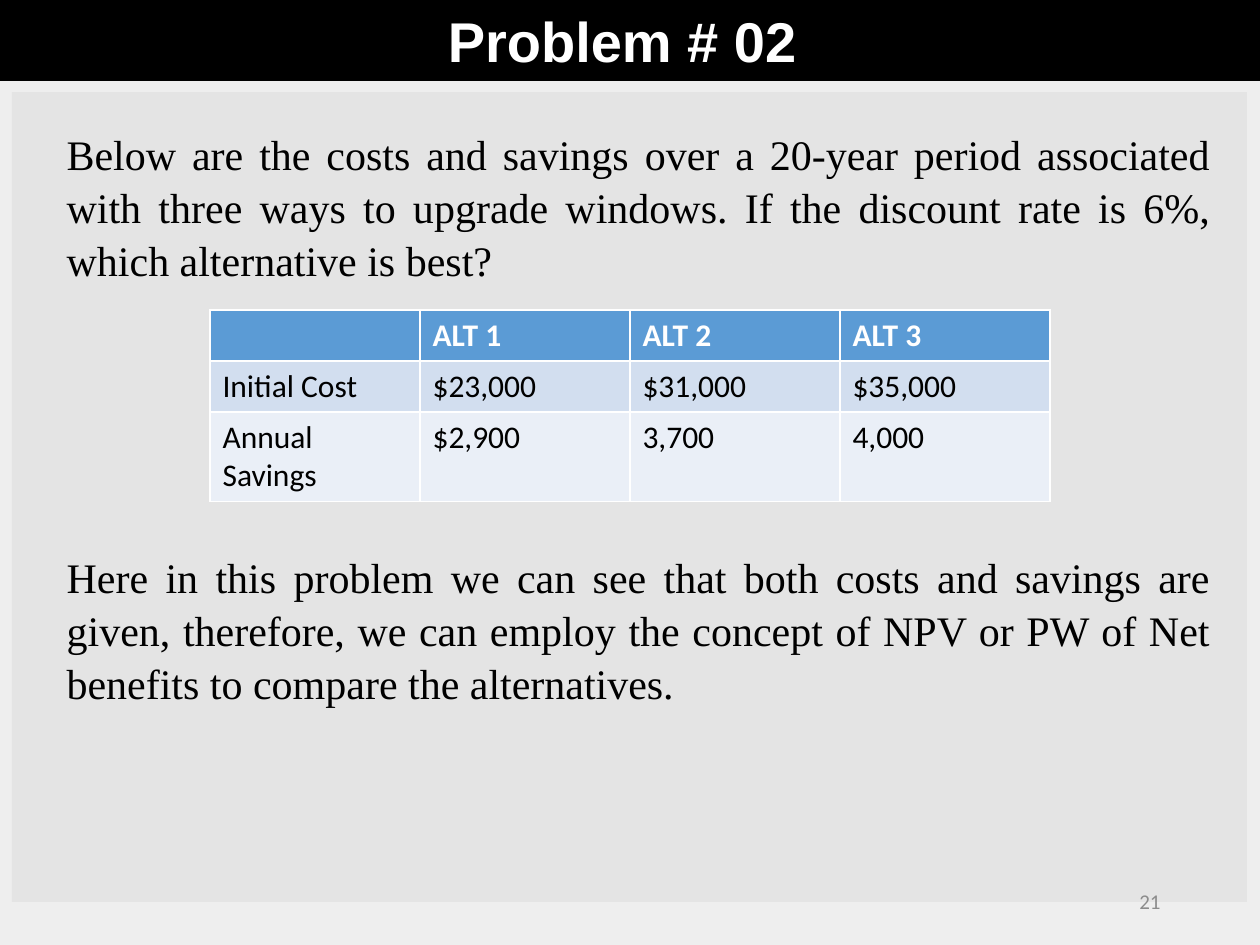
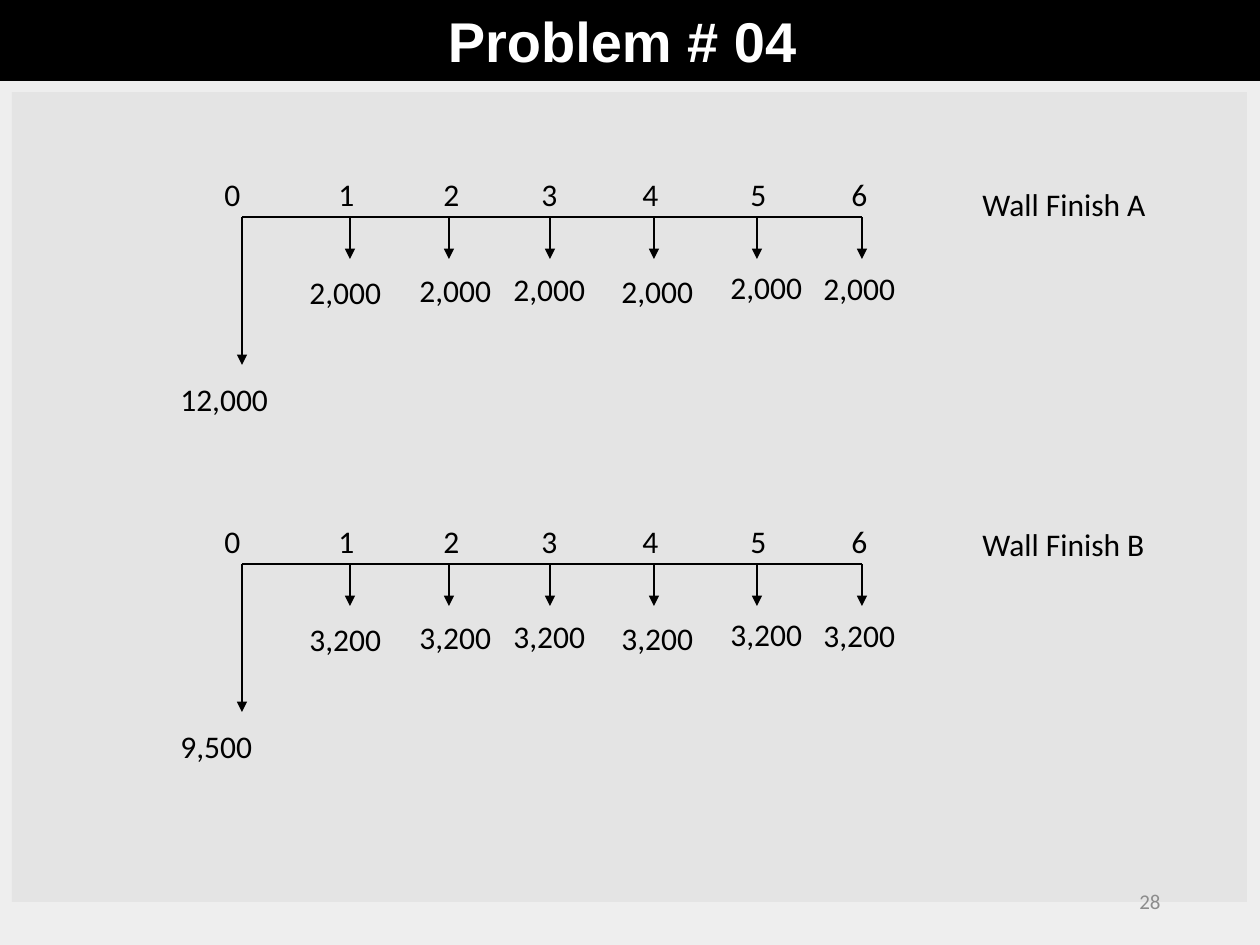
from lxml import etree
from pptx import Presentation
from pptx.dml.color import RGBColor
from pptx.enum.shapes import MSO_CONNECTOR, MSO_SHAPE
from pptx.enum.text import MSO_ANCHOR, MSO_AUTO_SIZE, PP_ALIGN
from pptx.oxml.ns import qn
from pptx.util import Pt

EMU_PER_PX = 914400 / 126
SLIDE_W, SLIDE_H = 1260, 945
TWO_CONTENT, TITLE_ONLY = 3, 5
LEFT, CENTER, RIGHT, JUSTIFY = PP_ALIGN.LEFT, PP_ALIGN.CENTER, PP_ALIGN.RIGHT, PP_ALIGN.JUSTIFY
TOP, MIDDLE = MSO_ANCHOR.TOP, MSO_ANCHOR.MIDDLE
RECTANGLE, STRAIGHT = MSO_SHAPE.RECTANGLE, MSO_CONNECTOR.STRAIGHT
NO_AUTOFIT = MSO_AUTO_SIZE.NONE

COLORS = {
    "black": "000000", "white": "FFFFFF", "panel": "E4E4E4", "page_number": "8C8C8C",
    "back_left": "EEEEEE", "back_right": "F0F0F0",
    "header": "5B9BD5", "row_dark": "D2DEEF", "row_light": "EAEFF7",
}
TITLE_FONT, BODY_FONT, LABEL_FONT = "Arial", "Times New Roman", "Calibri"


def px(length):
    return round(length * EMU_PER_PX)


def rgb(name):
    return RGBColor.from_string(COLORS[name])


class Deck:
    def __init__(self):
        self.prs = Presentation()
        self.prs.slide_width, self.prs.slide_height = px(SLIDE_W), px(SLIDE_H)
        self.slide = None
        # Background gradient, shared through the master
        fill = self.prs.slide_master.background.fill
        fill.gradient()
        fill.gradient_angle = 0
        for stop, color, position in zip(fill.gradient_stops, ("back_left", "back_right"), (0, 0.59)):
            stop.color.rgb = rgb(color)
            stop.position = position

    def new_slide(self, layout, title, number):
        self.slide = self.prs.slides.add_slide(self.prs.slide_layouts[layout])
        # Grey panel behind everything
        panel = self.slide.shapes.add_shape(RECTANGLE, px(12), px(92), px(1235), px(810))
        panel.shadow.inherit = False
        panel.fill.solid()
        panel.fill.fore_color.rgb = rgb("panel")
        panel.line.fill.background()
        self.slide.shapes._spTree.insert(2, panel._element)
        # Black title band
        band = self.slide.shapes.title
        self.place(band, 0, 0, SLIDE_W, 81)
        band.fill.solid()
        band.fill.fore_color.rgb = rgb("black")
        self.fill_frame(band.text_frame, title, TITLE_FONT, 32, "white", CENTER, bold=True)
        band.text_frame.margin_right = px(28)
        # Page number
        self.text(number, 890, 876, 283, 50, 12, "page_number", RIGHT, MIDDLE)

    def place(self, shape, left, top, width, height):
        shape.left, shape.top, shape.width, shape.height = map(px, (left, top, width, height))

    def fill_frame(self, frame, words, font, size, color, align=LEFT, anchor=TOP, bold=False):
        frame.word_wrap = True
        frame.auto_size = NO_AUTOFIT
        frame.vertical_anchor = anchor
        paragraph = frame.paragraphs[0]
        paragraph.text = words
        self.style(paragraph, font, size, color, bold)
        paragraph.alignment = align
        return paragraph

    def style(self, paragraph, font, size, color, bold=False):
        paragraph.font.name = font
        paragraph.font.size = Pt(size)
        paragraph.font.bold = bold
        paragraph.font.color.rgb = rgb(color)

    def text(self, words, left, top, width, height=50, size=18, color="black", align=LEFT, anchor=TOP):
        box = self.slide.shapes.add_textbox(px(left), px(top), px(width), px(height))
        self.fill_frame(box.text_frame, words, LABEL_FONT, size, color, align, anchor)

    def body(self, index, words, top, height):
        holder = self.slide.placeholders[index]
        self.place(holder, 54, top, 1169, height)
        properties = holder.text_frame.paragraphs[0]._p.get_or_add_pPr()
        properties.set("marL", "0")
        properties.set("indent", "0")
        etree.SubElement(properties, qn("a:buNone"))
        paragraph = self.fill_frame(holder.text_frame, words, BODY_FONT, 24, "black", JUSTIFY)
        paragraph.space_before = Pt(0)
        paragraph.line_spacing = 1.05

    def line(self, x1, y1, x2, y2, arrow=False):
        connector = self.slide.shapes.add_connector(STRAIGHT, px(x1), px(y1), px(x2), px(y2))
        connector.line.color.rgb = rgb("black")
        connector.line.width = Pt(1)
        if arrow:
            etree.SubElement(connector.line._get_or_add_ln(), qn("a:tailEnd"), type="triangle")
        etree.SubElement(connector._element.spPr, qn("a:effectLst"))

    def table(self, rows, left, top, column_width, row_heights):
        table = self.slide.shapes.add_table(
            len(rows), len(rows[0]), px(left), px(top),
            px(column_width * len(rows[0])), px(sum(row_heights))).table
        for column in table.columns:
            column.width = px(column_width)
        fills = ("header", "row_dark", "row_light")
        for r, (values, height, fill) in enumerate(zip(rows, row_heights, fills)):
            table.rows[r].height = px(height)
            for c, value in enumerate(values):
                cell = table.cell(r, c)
                cell.fill.solid()
                cell.fill.fore_color.rgb = rgb(fill)
                cell.text = value
                self.style(cell.text_frame.paragraphs[0], LABEL_FONT, 18,
                           "black" if r else "white", bold=r == 0)

    def cash_flow(self, axis_y, name, name_y, initial_cost, yearly_cost):
        self.text(name, 970, name_y, 257)
        self.line(YEAR_X[0], axis_y, YEAR_X[-1], axis_y)
        for year, (x, label_x) in enumerate(zip(YEAR_X, YEAR_LABEL_X)):
            self.text(str(year), label_x, axis_y - 48, 79)
            self.line(x, axis_y, x, axis_y + (42 if year else 148), arrow=True)
        self.text(initial_cost, 168, axis_y + 157, 125)
        for cost_x, drop in YEARLY_COST_SPOTS:
            self.text(yearly_cost, cost_x, axis_y + drop, 113)


# Cash-flow timeline: arrows, year labels and (left, drop) of the yearly costs
YEAR_X = (242, 350, 449, 550, 654, 757, 862)
YEAR_LABEL_X = (212, 326, 431, 529, 630, 738, 839)
YEARLY_COST_SPOTS = ((297, 50), (407, 48), (501, 47), (609, 49), (718, 45), (811, 46))


def main():
    deck = Deck()

    # Problem 02: window upgrade alternatives
    deck.new_slide(TWO_CONTENT, "Problem # 02", "21")
    deck.body(1, "Below are the costs and savings over a 20-year period associated with three "
                 "ways to upgrade windows. If the discount rate is 6%, which alternative is best?",
              120, 267)
    deck.table([("", "ALT 1", "ALT 2", "ALT 3"),
                ("Initial Cost", "$23,000", "$31,000", "$35,000"),
                ("Annual Savings", "$2,900", "3,700", "4,000")],
               210, 310, 210, (51, 51, 89))
    deck.body(2, "Here in this problem we can see that both costs and savings are given, therefore, "
                 "we can employ the concept of NPV or PW of Net benefits to compare the alternatives.",
              543, 165)

    # Problem 04: cash flows of two wall finishes
    deck.new_slide(TITLE_ONLY, "Problem # 04", "28")
    deck.cash_flow(217, "Wall Finish A", 179, "12,000", "2,000")
    deck.cash_flow(564, "Wall Finish B", 519, "9,500", "3,200")

    deck.prs.save("out.pptx")


if __name__ == "__main__":
    main()
